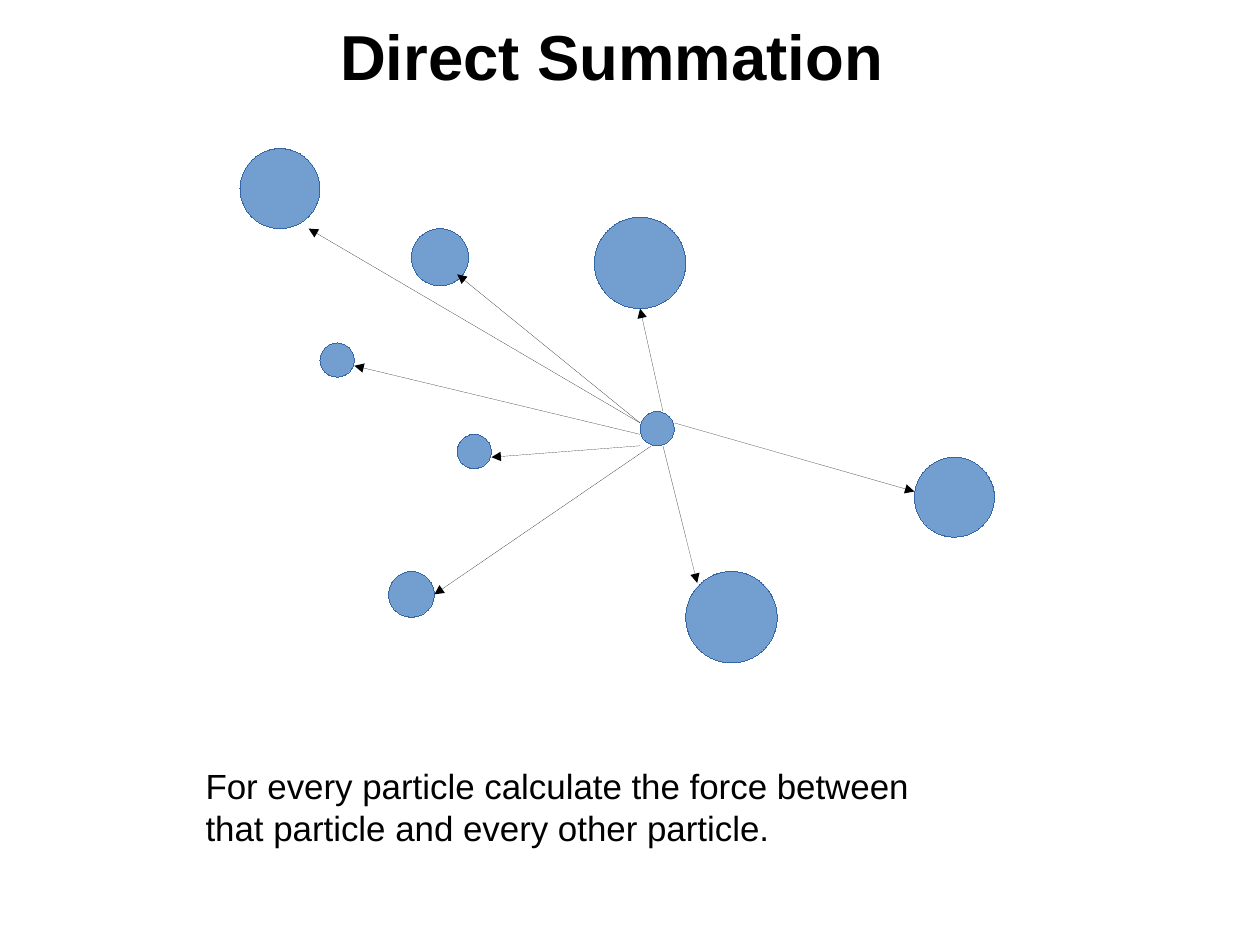
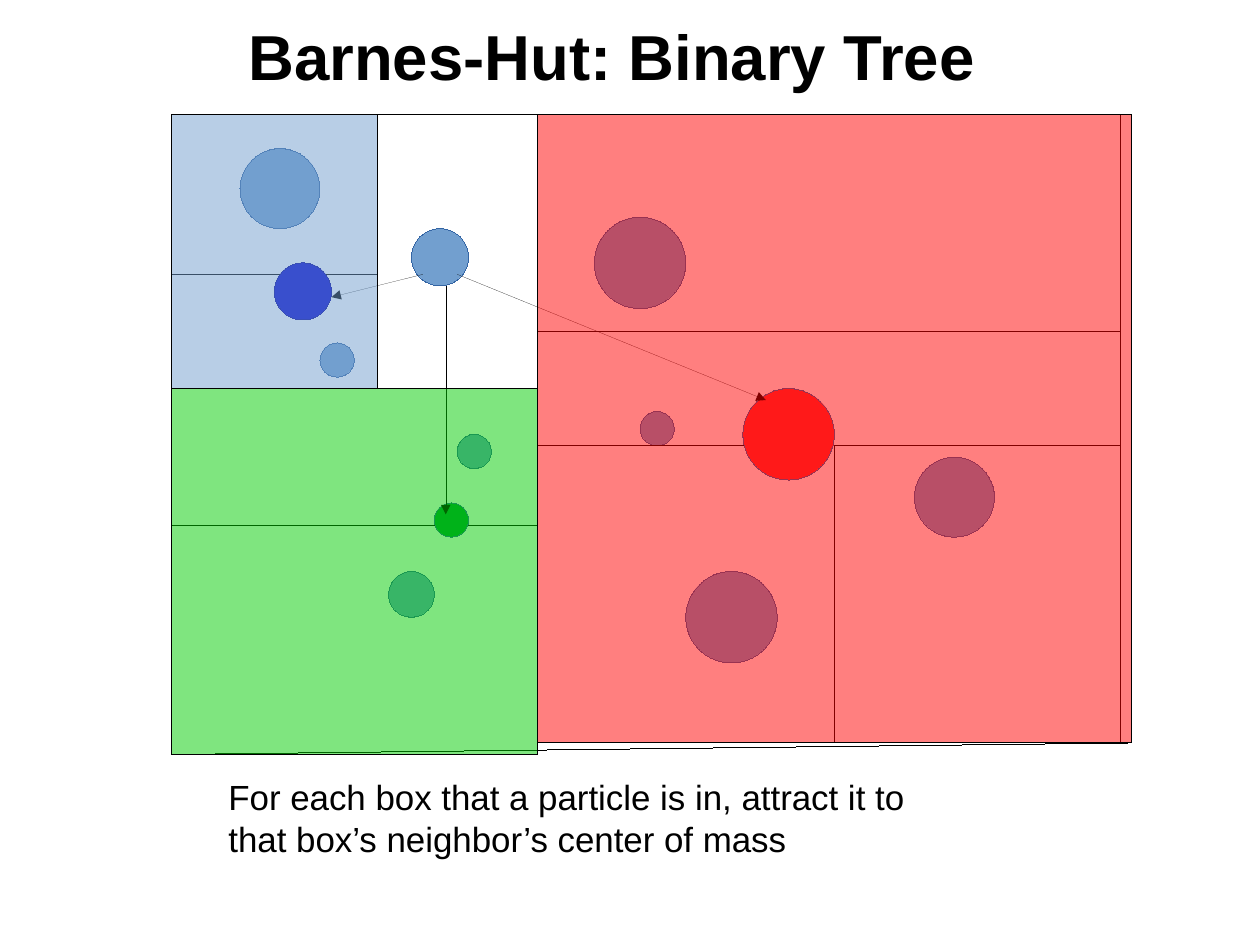
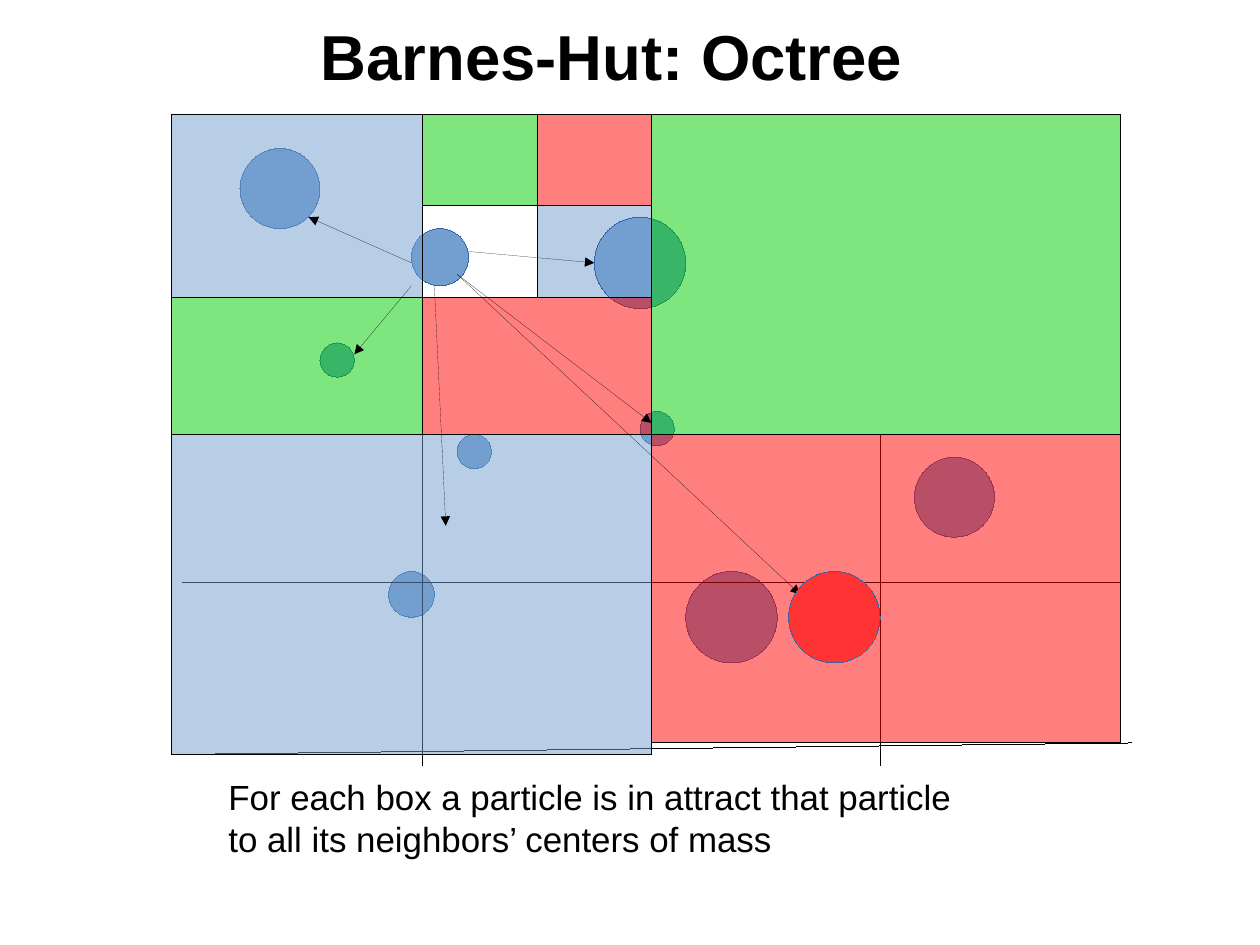
from dataclasses import dataclass

from lxml.etree import SubElement
from pptx import Presentation
from pptx.dml.color import RGBColor
from pptx.enum.shapes import MSO_CONNECTOR, MSO_SHAPE
from pptx.enum.text import MSO_AUTO_SIZE, PP_ALIGN
from pptx.oxml.ns import qn
from pptx.util import Cm, Inches, Pt


@dataclass(frozen=True)
class Theme:
    font: str = "Arial"
    title_size: int = 40
    caption_size: int = 22
    ink: str = "000000"
    paper: str = "FFFFFF"
    blue: str = "729FCF"
    blue_edge: str = "3465A4"
    red: str = "FF0000"
    green: str = "00CC00"
    mass_blue: str = "0000CC"
    mass_blue_edge: str = "000099"
    mass_green: str = "009933"
    mass_red: str = "FF3333"
    hairline: int = 0
    region_opacity: int = 50


T = Theme()
WIDTH, HEIGHT = Cm(28), Cm(21)
CELLS_PER_INCH = 10

# Particles as (column, row, diameter) in grid cells
MIDDLE_TOP = (52, 19, 8)
PARTICLES = [
    (21, 13, 7), (36, 20, 5), (34, 50, 4), (28, 30, 3),
    (40, 38, 3), (56, 36, 3), (80, 40, 7), (60, 50, 8),
]


def cells(n):
    return Inches(n / CELLS_PER_INCH)


class Deck:
    """Holds the presentation, its theme and the slide being drawn."""

    def __init__(self, theme):
        self.theme = theme
        self.prs = Presentation()
        self.prs.slide_width, self.prs.slide_height = WIDTH, HEIGHT
        self.s = None

    def slide(self, title):
        self.s = self.prs.slides.add_slide(self.prs.slide_layouts[6])
        fill = self.s.background.fill
        fill.solid()
        fill.fore_color.rgb = RGBColor.from_string(self.theme.paper)
        self.text(title, 17, 1, 73, 7.2, self.theme.title_size,
                  bold=True, align=PP_ALIGN.CENTER)

    def text(self, words, col, row, cols, rows, size, bold=False, align=PP_ALIGN.LEFT):
        tf = self.s.shapes.add_textbox(*map(cells, (col, row, cols, rows))).text_frame
        tf.word_wrap = True
        tf.auto_size = MSO_AUTO_SIZE.SHAPE_TO_FIT_TEXT
        tf.text = words
        p = tf.paragraphs[0]
        p.alignment = align
        font = p.runs[0].font
        font.name, font.size, font.bold = self.theme.font, Pt(size), bold
        font.color.rgb = RGBColor.from_string(self.theme.ink)

    def caption(self, words, col, row):
        self.text(words, col, row, 66, 7.8, self.theme.caption_size)

    def shape(self, kind, col, row, cols, rows, fill, edge):
        sp = self.s.shapes.add_shape(kind, *map(cells, (col, row, cols, rows)))
        sp.shadow.inherit = False
        sp.fill.solid()
        sp.fill.fore_color.rgb = RGBColor.from_string(fill)
        self.stroke(sp, edge)
        return sp

    def stroke(self, sp, color):
        """Outline sp; a zero width must be written out to override the style."""
        sp.line.color.rgb = RGBColor.from_string(color)
        ln = sp._element.spPr.find(qn("a:ln"))
        ln.set("w", str(self.theme.hairline))
        return ln

    def circle(self, col, row, size, fill=None, edge=None):
        self.shape(MSO_SHAPE.OVAL, col, row, size, size,
                   fill or self.theme.blue, edge or self.theme.blue_edge)

    def particles(self, items):
        for item in items:
            self.circle(*item)

    def region(self, left, top, right, bottom, color):
        """Translucent box between two columns and two rows."""
        sp = self.shape(MSO_SHAPE.RECTANGLE, left, top, right - left, bottom - top,
                        color, self.theme.ink)
        clr = sp._element.spPr.find(qn("a:solidFill"))[0]
        SubElement(clr, qn("a:alpha")).set("val", str(self.theme.region_opacity * 1000))

    def regions(self, items):
        for item in items:
            self.region(*item)

    def line(self, x1, y1, x2, y2, arrow=False):
        c = self.s.shapes.add_connector(MSO_CONNECTOR.STRAIGHT,
                                        *map(cells, (x1, y1, x2, y2)))
        ln = self.stroke(c, self.theme.ink)
        if arrow:
            SubElement(ln, qn("a:tailEnd")).set("type", "triangle")
        SubElement(c._element.spPr, qn("a:effectLst"))

    def lines(self, items):
        for item in items:
            self.line(*item)

    def arrows(self, items):
        for item in items:
            self.line(*item, arrow=True)

    def frame(self):
        """Outer boundary of the simulated space."""
        self.lines([(15, 10, 98, 10), (98, 65, 98, 10),
                    (15, 10, 15, 66), (16, 66, 99, 65)])


def direct_summation(d):
    d.slide("Direct Summation")
    d.particles(PARTICLES + [MIDDLE_TOP])
    d.arrows([
        (56, 37, 40, 24), (56, 37, 27, 20), (56, 38, 31, 32), (56, 39, 43, 40),
        (57, 39, 38, 52), (58, 39, 61, 51), (59, 37, 80, 43), (58, 36, 56, 27),
    ])
    d.caption("For every particle calculate the force between "
              "that particle and every other particle.", 17, 66.4)


def binary_tree(d):
    d.slide("Barnes-Hut: Binary Tree")
    d.particles(PARTICLES + [MIDDLE_TOP])
    d.frame()
    d.lines([
        (47, 66, 47, 10), (15, 34, 47, 34), (47, 39, 98, 39), (47, 46, 15, 46),
        (73, 39, 73, 65), (47, 29, 98, 29), (33, 10, 33, 34), (33, 24, 15, 24),
    ])
    d.circle(24, 23, 5, T.mass_blue, T.mass_blue_edge)
    d.circle(38, 44, 3, T.mass_green)
    d.circle(65, 34, 8, T.mass_red)
    d.arrows([(37, 24, 29, 26), (39, 25, 39, 45), (40, 24, 67, 35)])
    d.regions([(15, 10, 33, 34, T.blue), (47, 10, 99, 65, T.red),
               (15, 34, 47, 66, T.green)])
    d.caption("For each box that a particle is in, attract it to "
              "that box’s neighbor’s center of mass", 19, 67.4)


def octree(d):
    d.slide("Barnes-Hut: Octree")
    d.particles(PARTICLES)
    d.frame()
    d.lines([
        (57, 10, 57, 66), (98, 38, 15, 38), (98, 51, 57, 51), (57, 51, 16, 51),
        (37, 10, 37, 67), (77, 38, 77, 67), (57, 26, 16, 26), (37, 18, 57, 18),
        (47, 10, 47, 26),
    ])
    d.regions([
        (47, 18, 57, 26, T.blue), (47, 10, 57, 18, T.red), (37, 10, 47, 18, T.green),
        (15, 26, 37, 38, T.green), (15, 38, 57, 66, T.blue), (57, 38, 98, 65, T.red),
        (15, 10, 37, 26, T.blue),
    ])
    d.arrows([(36, 23, 27, 19), (36, 25, 31, 31), (41, 22, 52, 23)])
    d.circle(*MIDDLE_TOP)
    d.regions([(57, 10, 98, 38, T.green), (37, 26, 57, 38, T.red)])
    d.arrows([(38, 25, 39, 46), (40, 24, 70, 52), (40, 24, 57, 37)])
    d.caption("For each box a particle is in attract that particle "
              "to all its neighbors’ centers of mass", 19, 67.4)
    d.circle(69, 50, 8, T.mass_red)


def main():
    d = Deck(T)
    for build in (direct_summation, binary_tree, octree):
        build(d)
    d.prs.save("out.pptx")


if __name__ == "__main__":
    main()
